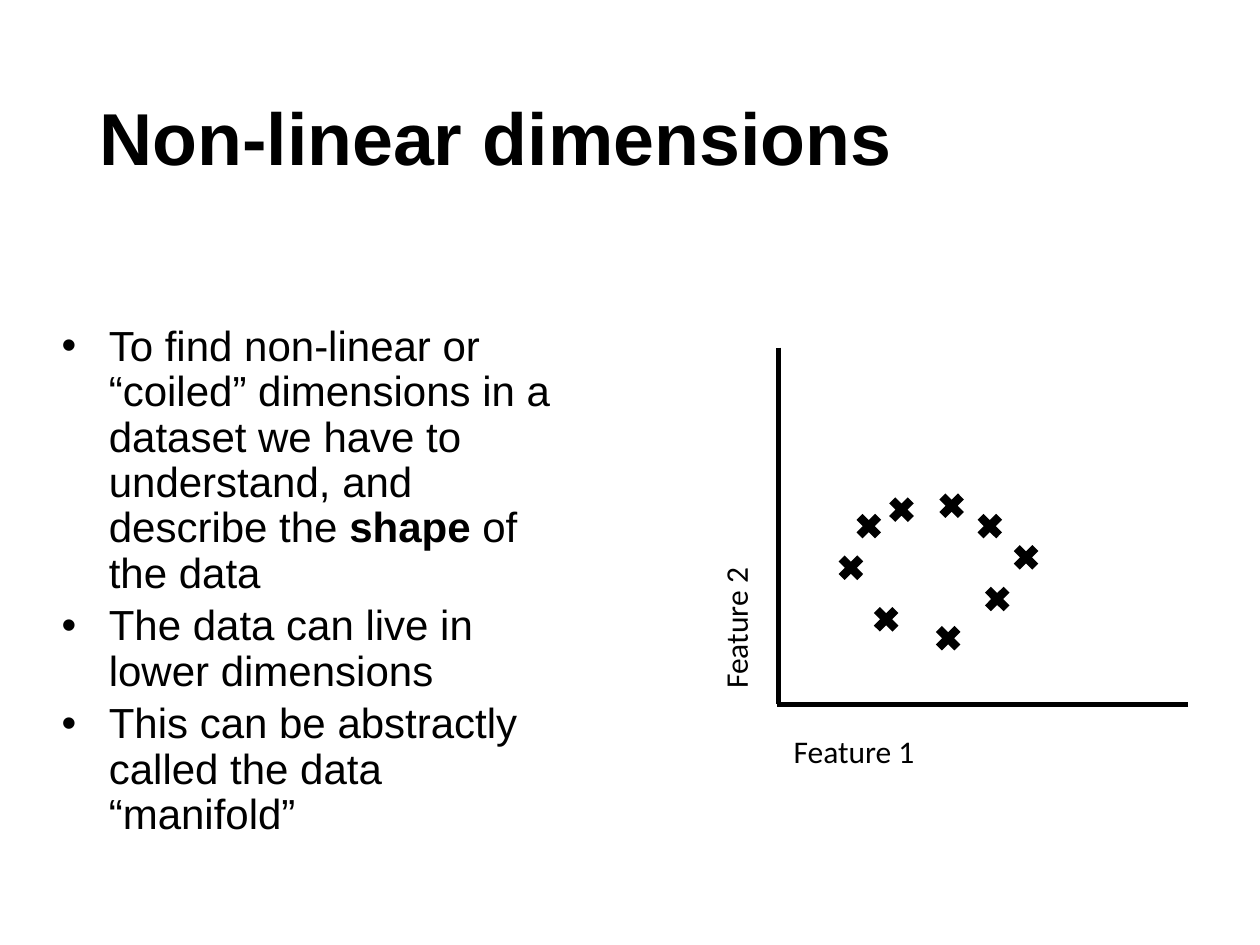
from pptx import Presentation
from pptx.dml.color import RGBColor
from pptx.enum.shapes import MSO_CONNECTOR, MSO_SHAPE
from pptx.enum.text import MSO_ANCHOR, MSO_AUTO_SIZE, PP_ALIGN
from pptx.oxml.ns import qn
from pptx.util import Cm, Pt
from lxml.etree import SubElement

BLACK = "000000"
MARKER_SIZE = 0.53
# Left and top of each data point, in centimetres
MARKERS = [
    (18.85, 12.6), (19.84, 11.81), (20.42, 10.97), (18.92, 9.93), (17.91, 10.01),
    (17.6, 12.22), (19.69, 10.34), (16.89, 11.18), (17.25, 10.34),
]
# Each bullet is a list of (text, bold) spans
BULLETS = [
    [("To find non-linear or “coiled” dimensions in a dataset we have to "
      "understand, and describe the ", False), ("shape ", True), ("of the data", False)],
    [("The data can live in lower dimensions", False)],
    [("This can be abstractly called the data “manifold”", False)],
]


def color(hex_string):
    return RGBColor.from_string(hex_string)


def place(shape, left, top, width, height):
    shape.left, shape.top = Cm(left), Cm(top)
    shape.width, shape.height = Cm(width), Cm(height)


def set_font(paragraph, name, size, bold=None):
    font = paragraph.font
    font.name, font.size, font.bold = name, Pt(size), bold
    font.color.rgb = color(BLACK)


def fill_title(title, text):
    place(title, 1.75, 1.02, 21.9, 3.68)
    frame = title.text_frame
    frame.text = text
    frame.auto_size = MSO_AUTO_SIZE.NONE
    frame.vertical_anchor = MSO_ANCHOR.MIDDLE
    paragraph = frame.paragraphs[0]
    paragraph.alignment = PP_ALIGN.LEFT
    paragraph.line_spacing = 0.9
    set_font(paragraph, "Arial", 42, True)


def fill_bullets(body, bullets):
    place(body, 0.99, 6.43, 10.8, 10.72)
    frame = body.text_frame
    frame.auto_size = MSO_AUTO_SIZE.NONE
    for index, spans in enumerate(bullets):
        paragraph = frame.add_paragraph() if index else frame.paragraphs[0]
        properties = paragraph._p.get_or_add_pPr()
        properties.set("marL", str(Cm(0.95)))
        properties.set("indent", str(Cm(-0.95)))
        SubElement(properties, qn("a:buChar")).set("char", "•")
        paragraph.line_spacing = 0.9
        paragraph.space_before = Pt(4.2 if index else 0)
        set_font(paragraph, "Arial", 24)
        for text, bold in spans:
            span = paragraph.add_run()
            span.text = text
            span.font.bold = bold


def add_marker(page, left, top):
    marker = page.shapes.add_shape(
        MSO_SHAPE.CROSS, Cm(left), Cm(top), Cm(MARKER_SIZE), Cm(MARKER_SIZE))
    marker.adjustments[0] = 0.338
    marker.rotation = 315
    marker.shadow.inherit = False
    marker.fill.solid()
    marker.fill.fore_color.rgb = color(BLACK)
    marker.line.fill.background()


def add_axis(page, start, end):
    axis = page.shapes.add_connector(
        MSO_CONNECTOR.STRAIGHT, *(Cm(value) for value in start + end))
    axis.line.color.rgb = color(BLACK)
    axis.line.width = Pt(3)
    SubElement(axis._element.spPr, qn("a:effectLst"))


def add_axis_label(page, text, left, top, rotation=0):
    box = page.shapes.add_textbox(Cm(left), Cm(top), Cm(2.97), Cm(1.02))
    box.rotation = rotation
    frame = box.text_frame
    frame.text = text
    frame.word_wrap = False
    frame.auto_size = MSO_AUTO_SIZE.SHAPE_TO_FIT_TEXT
    set_font(frame.paragraphs[0], "Calibri", 18)


def main():
    deck = Presentation()
    deck.slide_width, deck.slide_height = Cm(25.4), Cm(19.05)
    page = deck.slides.add_slide(deck.slide_layouts[1])
    fill_title(page.shapes.title, "Non-linear dimensions")
    fill_bullets(page.placeholders[1], BULLETS)
    for left, top in MARKERS:
        add_marker(page, left, top)
    add_axis_label(page, "Feature 1", 15.75, 14.63)
    add_axis_label(page, "Feature 2", 13.34, 12.14, 270)
    add_axis(page, (15.7, 7.01), (15.7, 14.2))
    add_axis(page, (23.95, 14.2), (15.67, 14.2))
    deck.save("out.pptx")


if __name__ == "__main__":
    main()
